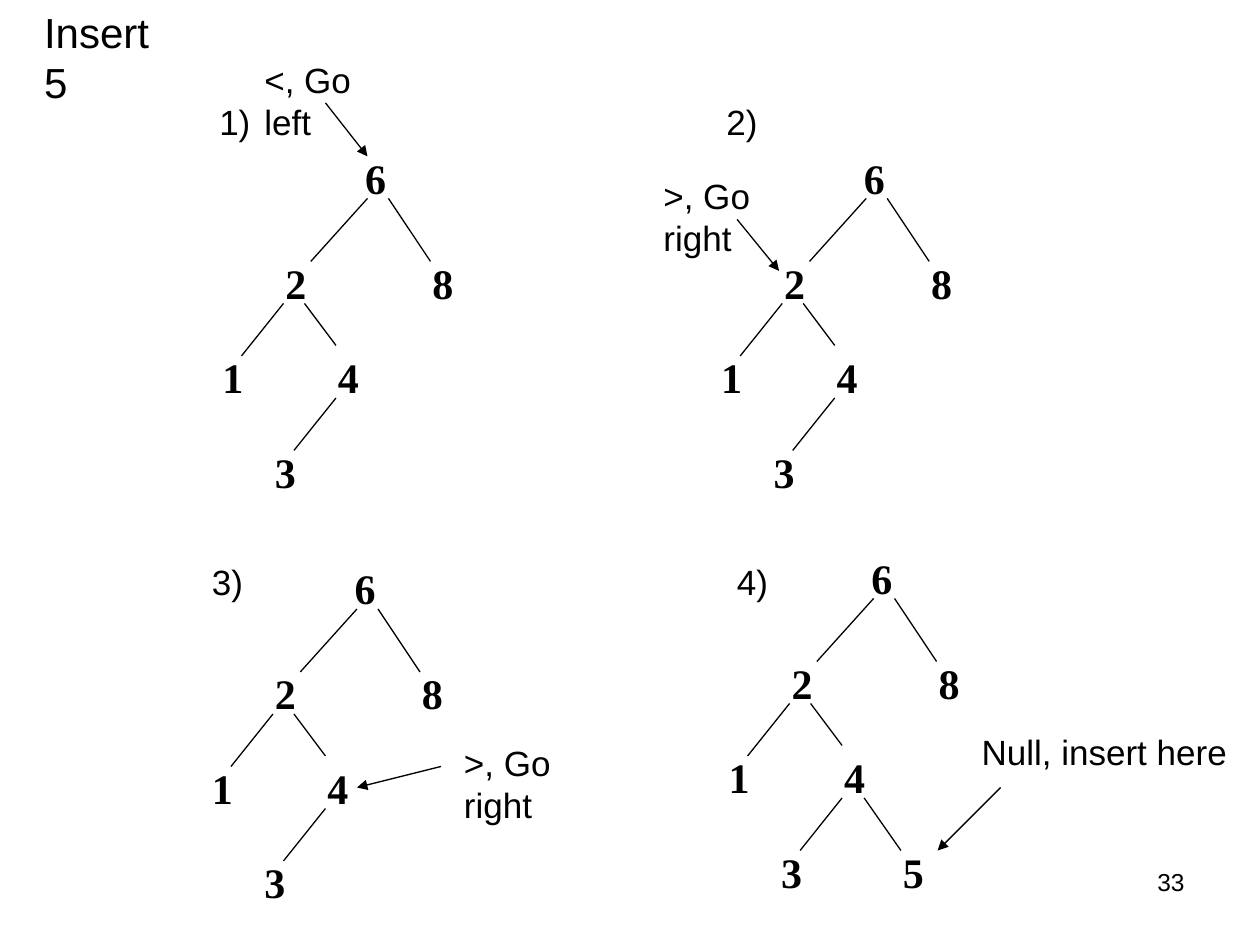
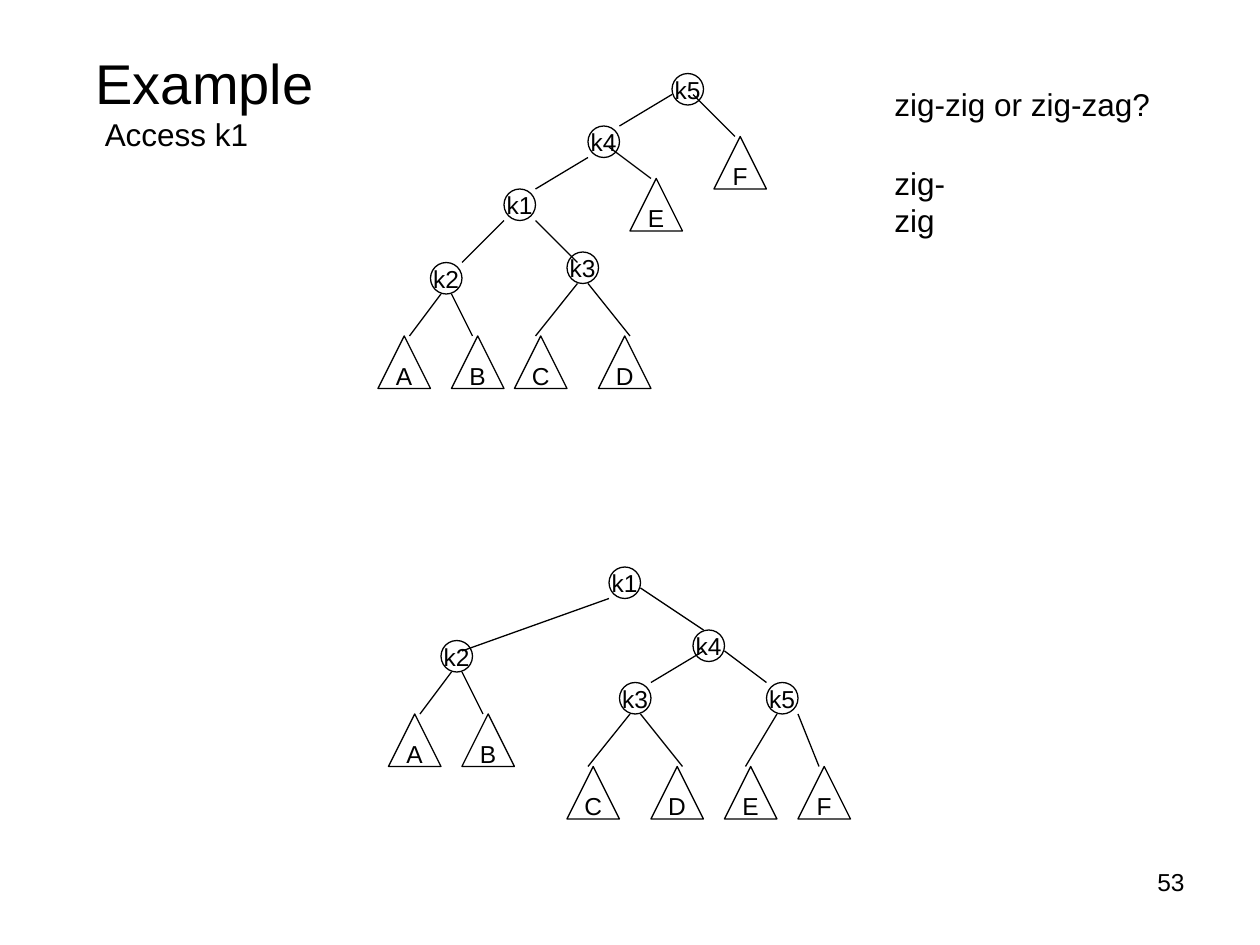
from lxml.etree import SubElement
from pptx import Presentation
from pptx.dml.color import RGBColor
from pptx.enum.shapes import MSO_CONNECTOR, MSO_SHAPE
from pptx.enum.text import MSO_ANCHOR as ANCHOR, MSO_AUTO_SIZE as AUTO, PP_ALIGN as ALIGN
from pptx.oxml.ns import qn
from pptx.util import Emu, Pt

BLACK = RGBColor(0, 0, 0)
SANS, SERIF = "Arial", "Times New Roman"
PX = 7620  # 120 px to the inch
TITLE_ONLY = 5

# Search tree, measured from the box of its root
KEYS = {"6": (0, 0), "2": (-76, 100), "8": (64, 100),
        "1": (-136, 190), "4": (-26, 190), "3": (-86, 280)}
EDGES = [(14, 50, -40, 110), (34, 50, 74, 110), (-66, 150, -106, 200),
         (-46, 150, -16, 190), (-16, 240, -56, 290)]
NEW_KEY, NEW_EDGE = {"5": (30, 280)}, (5, 240, 40, 290)

# Each step: root of the tree, label, note (text, left, top, width, wrap), arrow
STEPS = [
    ((336, 139), (197, 90), ("<, Go left", 240, 50, 156, True), (310, 98, 350, 149)),
    ((811, 139), (680, 90), (">, Go right", 620, 160, 176, True), (702, 209, 742, 258)),
    ((326, 530), (190, 528), (">, Go right", 430, 700, 176, True), (420, 730, 340, 750)),
    ((818, 520), (690, 528), ("Null, insert here", 923, 690, 258, False),
     (953, 750, 893, 810)),
]

# Each splay tree: nodes, subtrees, edges
BEFORE = (
    {"k1": (480, 180), "k2": (410, 250), "k3": (540, 240),
     "k4": (560, 120), "k5": (640, 70)},
    {"A": (360, 320), "B": (430, 320), "C": (490, 320),
     "D": (570, 320), "E": (600, 170), "F": (680, 130)},
    [(640, 90, 590, 120), (660, 90, 700, 130), (560, 150, 510, 180),
     (580, 140, 620, 170), (480, 210, 440, 250), (510, 210, 550, 250),
     (420, 280, 390, 320), (430, 280, 450, 320), (550, 270, 510, 320),
     (560, 270, 600, 320)],
)
AFTER = (
    {"k1": (580, 540), "k2": (420, 610), "k3": (590, 650),
     "k4": (660, 600), "k5": (730, 650)},
    {"A": (370, 680), "B": (440, 680), "C": (540, 730),
     "D": (620, 730), "E": (690, 730), "F": (760, 730)},
    [(580, 570, 440, 620), (610, 560, 670, 600), (670, 620, 620, 650),
     (690, 620, 730, 650), (430, 640, 400, 680), (440, 640, 460, 680),
     (600, 680, 560, 730), (610, 680, 650, 730), (740, 680, 710, 730),
     (760, 680, 780, 730)],
)


def px(*lengths):
    return [Emu(n * PX) for n in lengths]


class Deck:
    def __init__(self):
        self.prs = Presentation()
        self.prs.slide_width, self.prs.slide_height = px(1200, 900)

    def new_slide(self, number):
        self.slide = self.prs.slides.add_slide(self.prs.slide_layouts[TITLE_ONLY])
        self.shapes = self.slide.shapes
        self.text(number, 860, 820, 280, 62, 14, align=ALIGN.RIGHT, wrap=True,
                  auto=AUTO.NONE)

    def start_group(self):
        """Put the shapes that follow into a new group."""
        self.shapes = self.slide.shapes.add_group_shape().shapes

    def set_text(self, sp, text, size, align=ALIGN.LEFT, anchor=ANCHOR.TOP, font=SANS,
                 bold=False, wrap=False, auto=AUTO.NONE):
        tf = sp.text_frame
        tf.text = text
        tf.word_wrap, tf.auto_size, tf.vertical_anchor = wrap, auto, anchor
        p = tf.paragraphs[0]
        p.alignment = align
        p.font.name, p.font.size, p.font.bold = font, Pt(size), bold
        p.font.color.rgb = BLACK

    def title(self, text, x, y, w, h, size, **style):
        sp = self.slide.shapes.title
        sp.left, sp.top, sp.width, sp.height = px(x, y, w, h)
        self.set_text(sp, text, size, **style)

    def text(self, text, x, y, w, h, size, auto=AUTO.SHAPE_TO_FIT_TEXT, **style):
        sp = self.shapes.add_textbox(*px(x, y, w, h))
        self.set_text(sp, text, size, auto=auto, **style)

    def outline(self, kind, text, x, y, side):
        sp = self.shapes.add_shape(kind, *px(x, y, side, side))
        sp.shadow.inherit = False
        sp.fill.background()
        sp.line.color.rgb, sp.line.width = BLACK, Pt(0.75)
        self.set_text(sp, text, 14, align=ALIGN.CENTER, anchor=ANCHOR.MIDDLE)

    def line(self, x1, y1, x2, y2, arrow=False):
        sp = self.shapes.add_connector(MSO_CONNECTOR.STRAIGHT, *px(x1, y1, x2, y2))
        sp.line.color.rgb, sp.line.width = BLACK, Pt(0.75)
        props = sp.element.spPr
        if arrow:
            SubElement(props.find(qn("a:ln")), qn("a:tailEnd"), type="triangle")
        SubElement(props, qn("a:effectLst"))

    def search_tree(self, root, keys, edges):
        x, y = root
        for key, (dx, dy) in keys.items():
            self.text(key, x + dx, y + dy, 44, 60, 24, font=SERIF, bold=True)
        for x1, y1, x2, y2 in edges:
            self.line(x + x1, y + y1, x + x2, y + y2)

    def splay_tree(self, nodes, subtrees, edges):
        self.start_group()
        for name, at in nodes.items():
            self.outline(MSO_SHAPE.OVAL, name, *at, 30)
        for name, at in subtrees.items():
            self.outline(MSO_SHAPE.ISOSCELES_TRIANGLE, name, *at, 50)
        for edge in edges:
            self.line(*edge)


def insert_slide(deck):
    deck.new_slide("33")
    deck.title("Insert 5", 30, 0, 157, 60, 24)
    for i, (root, label, note, arrow) in enumerate(STEPS, 1):
        last = i == len(STEPS)
        deck.search_tree(root, KEYS | NEW_KEY if last else KEYS,
                         EDGES + [NEW_EDGE] if last else EDGES)
        deck.text(f"{i})", *label, 54, 52, 20)
        text, x, y, w, wrap = note
        deck.text(text, x, y, w, 52, 20, wrap=wrap)
        deck.line(*arrow, arrow=True)


def splay_slide(deck):
    deck.new_slide("53")
    deck.title("Example", 60, 36, 270, 84, 32, align=ALIGN.CENTER,
               anchor=ANCHOR.MIDDLE, wrap=True)
    deck.text("Access k1", 88, 104, 161, 48, 18)
    deck.text("zig-zig or zig-zag?", 840, 75, 268, 48, 18)
    deck.text("zig-zig", 840, 150, 110, 48, 18)
    for tree in (BEFORE, AFTER):
        deck.splay_tree(*tree)


def main():
    deck = Deck()
    insert_slide(deck)
    splay_slide(deck)
    deck.prs.save("out.pptx")


if __name__ == "__main__":
    main()
